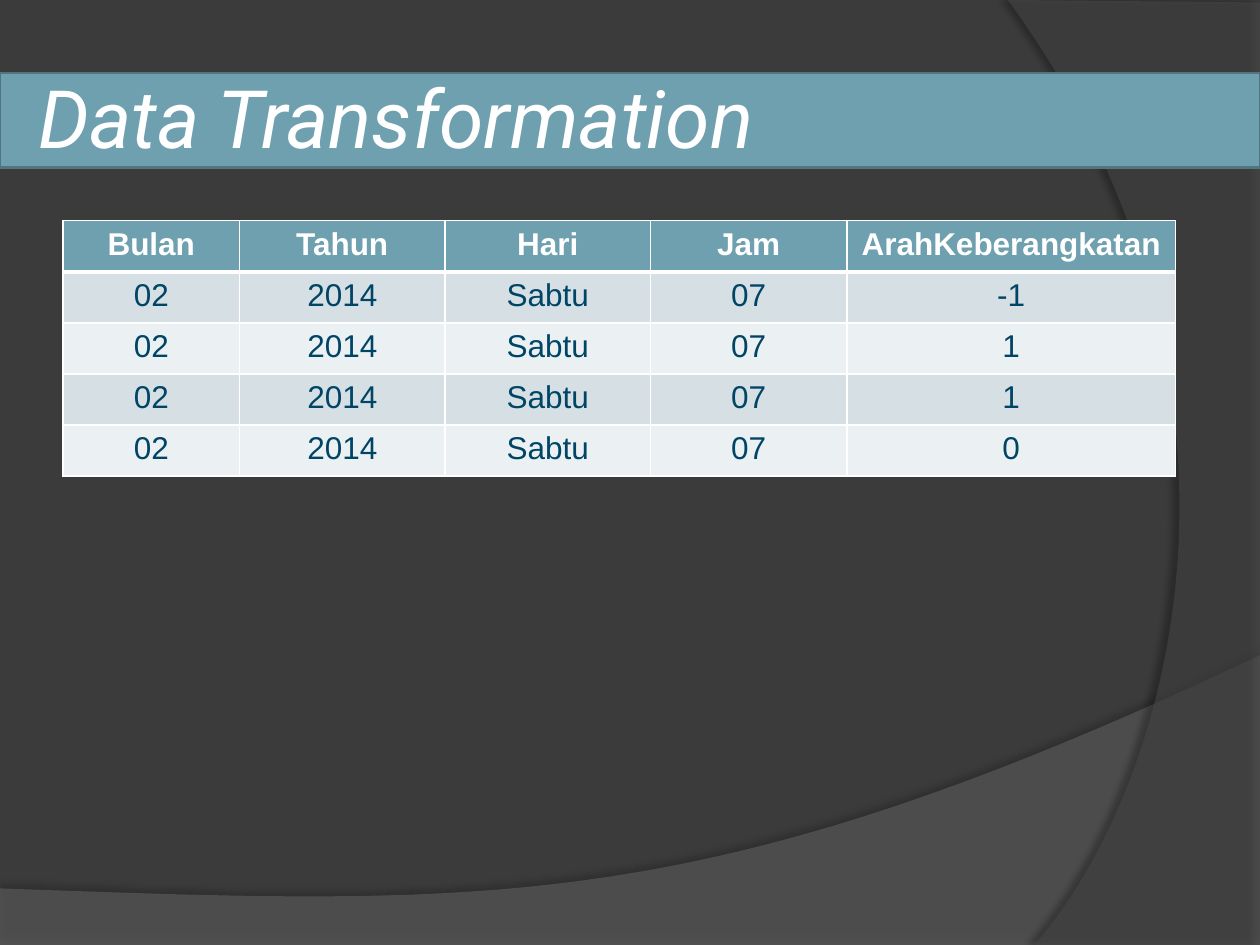
from pptx import Presentation
from pptx import util as u
from pptx.dml.color import RGBColor
from pptx.enum import shapes, text
from pptx.oxml import parse_xml
from pptx.oxml.ns import nsdecls, qn

TITLE = "Data Transformation"
HEADER = ["Bulan", "Tahun", "Hari", "Jam", "ArahKeberangkatan"]
ROWS = [["02", "2014", "Sabtu", "07", d] for d in ("-1", "1", "1", "0")]
COL_WIDTHS = [3.56, 4.14, 4.14, 3.96, 6.63]
ROW_HEIGHT = 1.03
C = {
    "bg": "3B3B3B", "wave": "656565", "arc": "474747", "teal": "6EA0B0",
    "edge": "517682", "white": "FFFFFF", "ink": "004566",
    "odd": "D5DFE4", "even": "EBF0F2",
}
SWEEPS = [
    dict(name="wave", alpha=55, shadow=(35, 4, 3.5, 270),
         corners=[(0, 17.91), (0, 19.05), (25.4, 19.05)],
         curve=[(25.4, 13.21), (14.2, 18.52), (9.93, 18.26), (0, 17.91)]),
    dict(name="arc", alpha=60, shadow=(45, 4, 4, 180),
         corners=[(25.4, 0.05), (25.4, 19.05)],
         curve=[(20.85, 19.05), (23.75, 15.72), (25.86, 7.62), (20.32, 0)]),
]


def rgb(name):
    return RGBColor.from_string(C[name])


def put_text(tf, words, size=18, font="Arial", color="ink", bold=False,
             italic=False, align=text.PP_ALIGN.CENTER):
    p = tf.paragraphs[0]
    p.alignment = align
    r = p.add_run()
    r.text = words
    f = r.font
    f.size, f.name, f.bold, f.italic = u.Pt(size), font, bold, italic
    f.color.rgb = rgb(color)


def bezier(points, steps=60):
    for i in range(steps + 1):
        t = i / steps
        weights = ((1 - t) ** 3, 3 * t * (1 - t) ** 2, 3 * t * t * (1 - t), t ** 3)
        yield tuple(sum(w * q[k] for w, q in zip(weights, points)) for k in (0, 1))


def add_sweep(s, name, alpha, shadow, corners, curve):
    pts = [(u.Cm(x), u.Cm(y)) for x, y in corners + list(bezier(curve))]
    fb = s.shapes.build_freeform(*pts[0])
    fb.add_line_segments(pts[1:], close=True)
    sp = fb.convert_to_shape()
    sp.fill.solid()
    sp.fill.fore_color.rgb = rgb(name)
    sp.line.fill.background()
    color = sp.fill._xPr.find(qn("a:solidFill"))[0]
    color.append(parse_xml(f'<a:alpha {nsdecls("a")} val="{alpha * 1000}"/>'))
    opacity, blur, dist, angle = shadow
    sp._element.spPr.append(parse_xml(
        f'<a:effectLst {nsdecls("a")}><a:outerShdw blurRad="{u.Pt(blur)}" '
        f'dist="{u.Pt(dist)}" dir="{angle * 60000}" algn="ctr" rotWithShape="0">'
        f'<a:srgbClr val="000000"><a:alpha val="{opacity * 1000}"/></a:srgbClr>'
        '</a:outerShdw></a:effectLst>'))


def add_borders(cell, **widths):
    tc_pr = cell._tc.get_or_add_tcPr()
    for i, side in enumerate("LRTB"):
        tc_pr.insert(i, parse_xml(
            f'<a:ln{side} {nsdecls("a")} w="{u.Pt(widths.get(side, 1))}"><a:solidFill>'
            f'<a:srgbClr val="{C["white"]}"/></a:solidFill></a:ln{side}>'))


def add_title(s):
    bar = s.shapes.add_shape(shapes.MSO_SHAPE.RECTANGLE, 0, u.Cm(1.47), u.Cm(25.4), u.Cm(1.91))
    bar.shadow.inherit = False
    bar.fill.solid()
    bar.fill.fore_color.rgb = rgb("teal")
    bar.line.color.rgb = rgb("edge")
    bar.line.width = u.Pt(1.5)
    title = s.shapes.title
    bar._element.addnext(title._element)
    title.left, title.top, title.width, title.height = map(u.Cm, (0.64, 0.76, 23.93, 3.18))
    tf = title.text_frame
    tf.auto_size = text.MSO_AUTO_SIZE.NONE
    tf.vertical_anchor = text.MSO_ANCHOR.MIDDLE
    tf.margin_left = tf.margin_right = tf.margin_top = tf.margin_bottom = u.Cm(0.13)
    put_text(tf, TITLE, size=46, font="Roboto", color="white", italic=True,
             align=text.PP_ALIGN.LEFT)


def add_data_table(s):
    data = [HEADER] + ROWS
    tbl = s.shapes.add_table(len(data), len(HEADER), u.Cm(1.27), u.Cm(4.45),
                             u.Cm(sum(COL_WIDTHS)), u.Cm(ROW_HEIGHT * len(data))).table
    for col, width in zip(tbl.columns, COL_WIDTHS):
        col.width = u.Cm(width)
    for i, row in enumerate(data):
        tbl.rows[i].height = u.Cm(ROW_HEIGHT)
        head = i == 0
        for j, words in enumerate(row):
            cell = tbl.cell(i, j)
            cell.fill.solid()
            cell.fill.fore_color.rgb = rgb("teal" if head else "odd" if i % 2 else "even")
            add_borders(cell, B=3 if head else 1, T=3 if i == 1 else 1)
            put_text(cell.text_frame, words, color="white" if head else "ink", bold=head)


def main():
    """Build the data transformation slide."""
    prs = Presentation()
    prs.slide_width, prs.slide_height = u.Cm(25.4), u.Cm(19.05)
    s = prs.slides.add_slide(prs.slide_layouts[5])
    s.background.fill.solid()
    s.background.fill.fore_color.rgb = rgb("bg")
    for sweep in SWEEPS:
        add_sweep(s, **sweep)
    add_title(s)
    add_data_table(s)
    prs.save("out.pptx")


if __name__ == "__main__":
    main()
